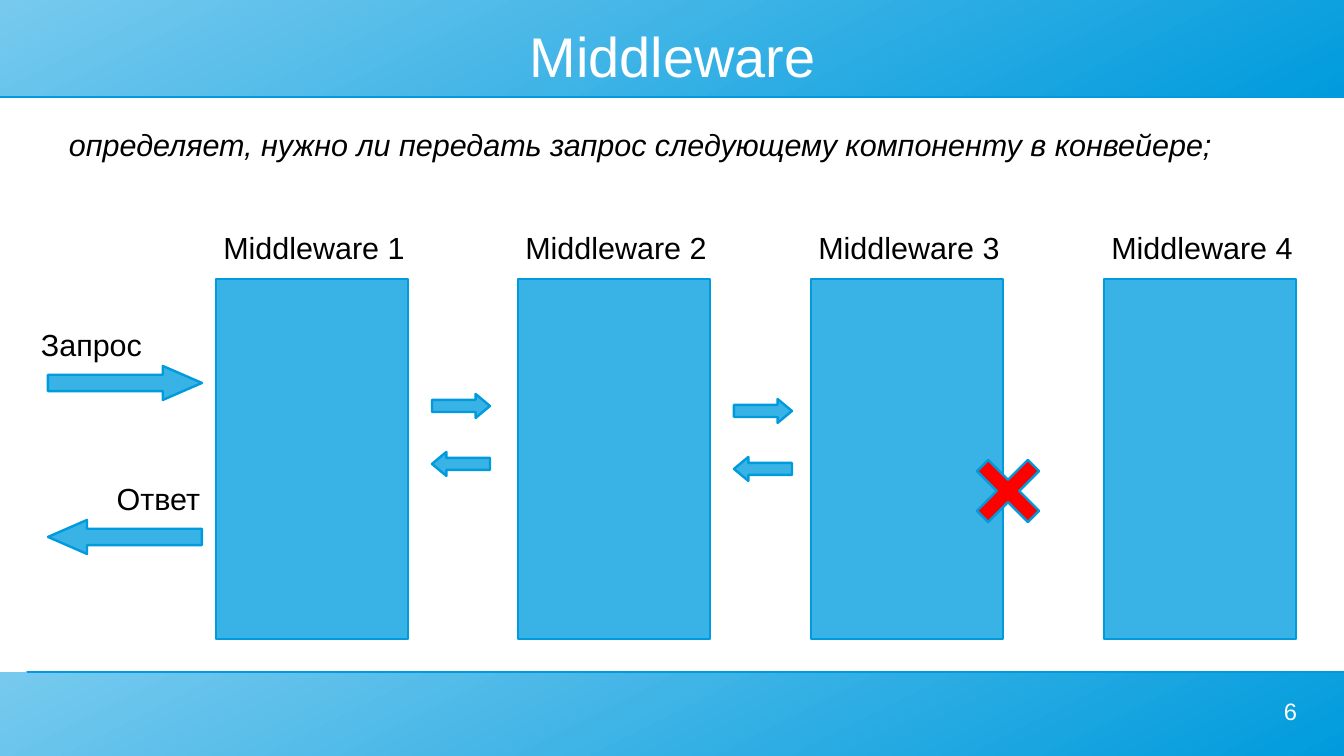
from pptx import Presentation
from pptx.dml.color import RGBColor
from pptx.enum.shapes import MSO_CONNECTOR, MSO_SHAPE
from pptx.enum.text import MSO_ANCHOR, PP_ALIGN
from pptx.oxml.ns import qn
from pptx.util import Pt
from lxml import etree

RECTANGLE = MSO_SHAPE.RECTANGLE
RIGHT_ARROW, LEFT_ARROW = MSO_SHAPE.RIGHT_ARROW, MSO_SHAPE.LEFT_ARROW
CROSS = MSO_SHAPE.CROSS
STRAIGHT = MSO_CONNECTOR.STRAIGHT
LEFT, CENTER, RIGHT = PP_ALIGN.LEFT, PP_ALIGN.CENTER, PP_ALIGN.RIGHT
TOP, MIDDLE = MSO_ANCHOR.TOP, MSO_ANCHOR.MIDDLE

EMU_PER_PX = 7495
SLIDE_WIDTH, SLIDE_HEIGHT = 1344, 756
LIGHT_BLUE, BLUE, DARK_BLUE = "77CAEE", "39B2E5", "009BDD"
WHITE, BLACK, RED = "FFFFFF", "000000", "FF0000"

BLOCK_LEFTS = [216, 518, 811, 1104]
BLOCK_TOP, BLOCK_WIDTH, BLOCK_HEIGHT = 279, 192, 360
PASSING_TOPS = [394, 399]
PASSING_OFFSET, RETURN_GAP = 216, 58
LARGE_ARROW, LARGE_HEAD = (154, 34), (0.48, 1.15)
SMALL_ARROW, SMALL_HEAD = (58, 24), (0.5, 0.6)


def px(*lengths):
    return [length * EMU_PER_PX for length in lengths]


def color(hex_string):
    return RGBColor.from_string(hex_string)


def add_band(slide, top, height):
    band = slide.shapes.add_shape(RECTANGLE, *px(0, top, SLIDE_WIDTH, height))
    band.shadow.inherit = False
    band.line.fill.background()
    band.fill.gradient()
    band.fill.gradient_angle = 297
    for stop, stop_color in zip(band.fill.gradient_stops, (LIGHT_BLUE, DARK_BLUE)):
        stop.color.rgb = color(stop_color)


def add_rule(slide, left, y):
    rule = slide.shapes.add_connector(STRAIGHT, *px(left, y, SLIDE_WIDTH, y))
    rule.line.color.rgb = color(DARK_BLUE)
    rule.line.width = Pt(0.9)
    etree.SubElement(rule._element.spPr, qn("a:effectLst"))


def add_outlined(slide, kind, box, fill=BLUE, adjustments=(), rotation=0):
    shape = slide.shapes.add_shape(kind, *px(*box))
    shape.shadow.inherit = False
    shape.fill.solid()
    shape.fill.fore_color.rgb = color(fill)
    shape.line.color.rgb = color(DARK_BLUE)
    shape.line.width = Pt(1.42)
    shape.rotation = rotation
    for index, value in enumerate(adjustments):
        shape.adjustments[index] = value


def add_text(slide, text, box, size=18, text_color=BLACK, align=CENTER,
             anchor=TOP, margins=(12, 6), wrap=False, italic=False):
    frame = slide.shapes.add_textbox(*px(*box)).text_frame
    horizontal, vertical = px(*margins)
    frame_format = {
        "margin_left": horizontal, "margin_right": horizontal,
        "margin_top": vertical, "margin_bottom": vertical,
        "word_wrap": wrap, "vertical_anchor": anchor,
    }
    for name, value in frame_format.items():
        setattr(frame, name, value)
    paragraph = frame.paragraphs[0]
    paragraph.alignment = align
    run = paragraph.add_run()
    run.text = text
    font_format = {"name": "Arial", "size": Pt(size), "italic": italic}
    for name, value in font_format.items():
        setattr(run.font, name, value)
    run.font.color.rgb = color(text_color)


def main():
    presentation = Presentation()
    presentation.slide_width, presentation.slide_height = px(SLIDE_WIDTH, SLIDE_HEIGHT)
    slide = presentation.slides.add_slide(presentation.slide_layouts[6])

    add_band(slide, 0, 97)
    add_rule(slide, 0, 97)
    add_band(slide, 672, 84)
    add_rule(slide, 27, 672)
    add_text(slide, "Middleware", (48, 24, 1249, 63), size=33, text_color=WHITE,
             anchor=MIDDLE, margins=(0, 0), wrap=True)
    add_text(slide, "6", (985, 697, 312, 48), size=14, text_color=WHITE,
             align=RIGHT, margins=(0, 0), wrap=True)
    add_text(slide, "определяет, нужно ли передать запрос следующему компоненту в конвейере;",
             (57, 120, 1215, 46), align=LEFT, wrap=True, italic=True)

    for number, left in enumerate(BLOCK_LEFTS, 1):
        add_outlined(slide, RECTANGLE, (left, BLOCK_TOP, BLOCK_WIDTH, BLOCK_HEIGHT))
        add_text(slide, f"Middleware {number}", (left - 10, 223, 216, 56))

    for block_left, top in zip(BLOCK_LEFTS, PASSING_TOPS):
        left = block_left + PASSING_OFFSET
        add_outlined(slide, RIGHT_ARROW, (left, top, *SMALL_ARROW), adjustments=SMALL_HEAD)
        add_outlined(slide, LEFT_ARROW, (left, top + RETURN_GAP, *SMALL_ARROW),
                     adjustments=SMALL_HEAD)

    for text, text_left, text_top, arrow in (("Запрос", 10, 320, RIGHT_ARROW),
                                             ("Ответ", 77, 474, LEFT_ARROW)):
        add_text(slide, text, (text_left, text_top, 163, 46))
        add_outlined(slide, arrow, (48, text_top + 46, *LARGE_ARROW), adjustments=LARGE_HEAD)

    add_outlined(slide, CROSS, (972, 455, 72, 72), fill=RED, adjustments=(0.39,), rotation=45)

    presentation.save("out.pptx")


if __name__ == "__main__":
    main()
